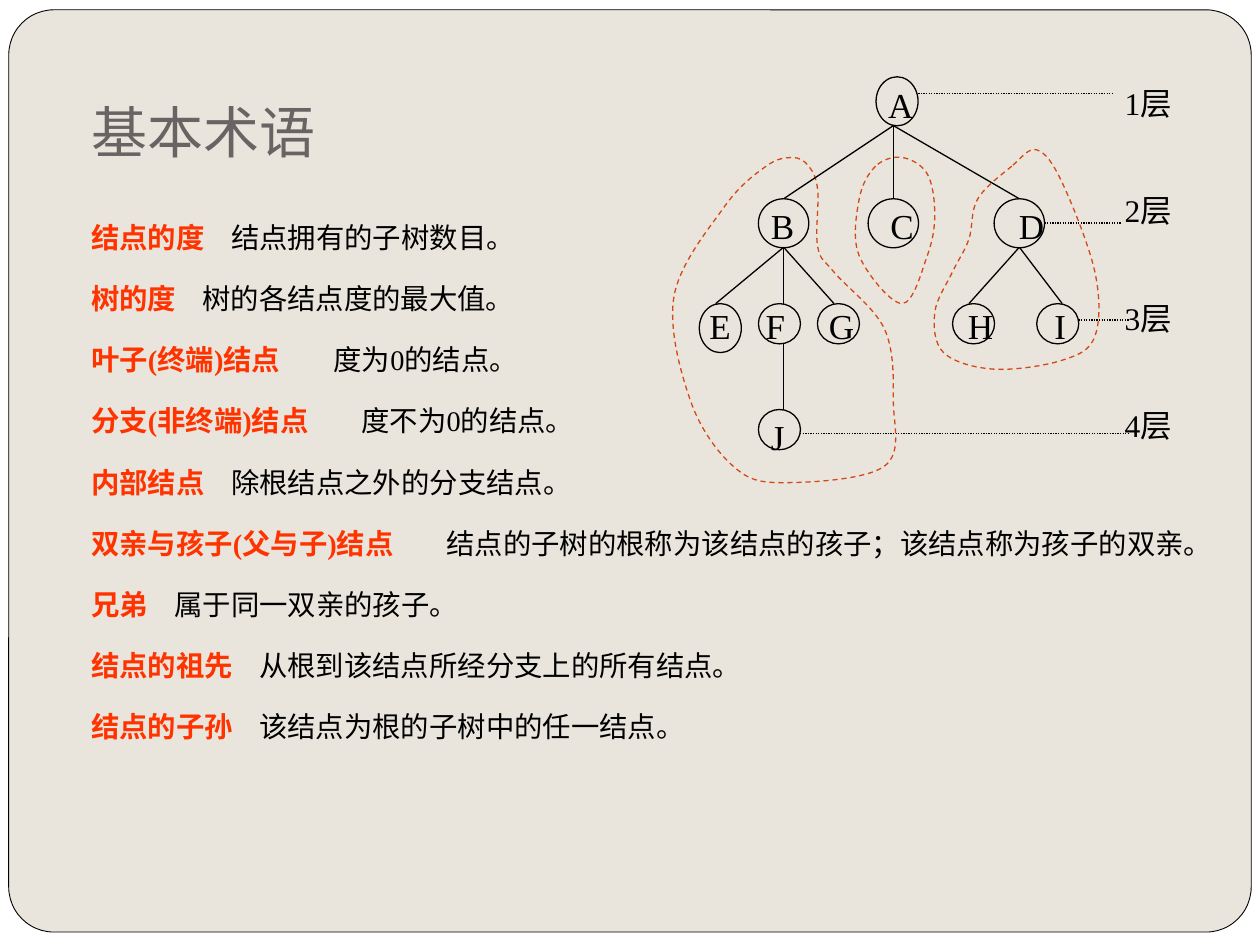
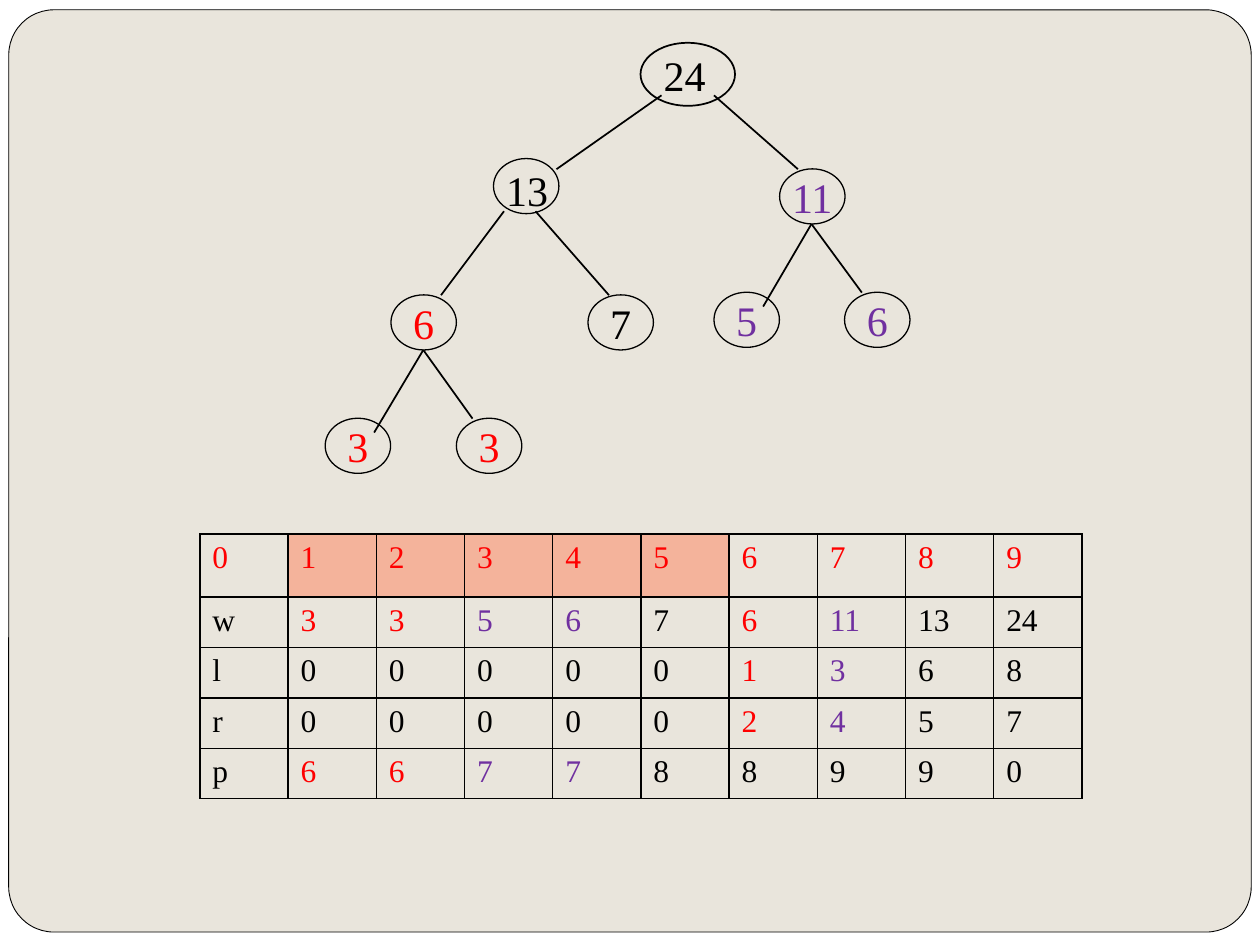
from dataclasses import dataclass
from lxml.etree import SubElement
from pptx import Presentation
from pptx.dml.color import RGBColor
from pptx.enum.dml import MSO_LINE
from pptx.enum.shapes import MSO_CONNECTOR, MSO_SHAPE
from pptx.enum.text import MSO_ANCHOR, PP_ALIGN
from pptx.oxml.ns import qn
from pptx.util import Pt


@dataclass(frozen=True)
class Theme:
    paper: RGBColor = RGBColor(0xE9, 0xE5, 0xDC)
    white: RGBColor = RGBColor(0xFF, 0xFF, 0xFF)
    black: RGBColor = RGBColor(0, 0, 0)
    title: RGBColor = RGBColor(0x69, 0x64, 0x64)
    term: RGBColor = RGBColor(0xFF, 0x33, 0x00)
    subtree: RGBColor = RGBColor(0xD3, 0x48, 0x17)
    red: RGBColor = RGBColor(0xFF, 0, 0)
    purple: RGBColor = RGBColor(0x70, 0x30, 0xA0)
    leaf_fill: RGBColor = RGBColor(0xF4, 0xB3, 0x9B)
    title_font: str = "Roboto"
    text_font: str = "Times New Roman"
    title_size: Pt = Pt(32)
    body_size: Pt = Pt(16.2)
    letter_size: Pt = Pt(20)
    level_size: Pt = Pt(18)
    weight_size: Pt = Pt(24)
    table_size: Pt = Pt(18)


theme = Theme()


def set_text_style(paragraph, size, color=theme.black, tabs=()):
    if tabs:
        tab_list = SubElement(paragraph._p.get_or_add_pPr(), qn("a:tabLst"))
        for tab in tabs:
            SubElement(tab_list, qn("a:tab"), pos=str(Pt(tab)), algn="l")
    paragraph.font.name = theme.text_font
    paragraph.font.size = size
    paragraph.font.color.rgb = color


def add_ellipse(slide, left, top, width, height, line_width=0.75):
    shape = slide.shapes.add_shape(MSO_SHAPE.OVAL, Pt(left), Pt(top), Pt(width), Pt(height))
    shape.shadow.inherit = False
    shape.fill.background()
    shape.line.color.rgb = theme.black
    shape.line.width = Pt(line_width)
    return shape


presentation = Presentation()
presentation.slide_width = Pt(720)
presentation.slide_height = Pt(540)

slides = []
for _ in range(2):
    slide = presentation.slides.add_slide(presentation.slide_layouts[6])
    slide.background.fill.solid()
    slide.background.fill.fore_color.rgb = theme.paper
    margin = slide.shapes.add_shape(MSO_SHAPE.RECTANGLE, 0, 0, Pt(720), Pt(540))
    frame = slide.shapes.add_shape(
        MSO_SHAPE.ROUNDED_RECTANGLE, Pt(5), Pt(5.6), Pt(710), Pt(527))
    frame.adjustments[0] = 0.049
    for shape, color in ((margin, theme.white), (frame, theme.paper)):
        shape.shadow.inherit = False
        shape.fill.solid()
        shape.fill.fore_color.rgb = color
    margin.line.fill.background()
    frame.line.color.rgb = theme.black
    frame.line.width = Pt(0.5)
    slides.append(slide)
terms_slide, huffman_slide = slides

title = terms_slide.shapes.add_textbox(Pt(45), Pt(11.5), Pt(612), Pt(90))
title.text_frame.word_wrap = True
title.text_frame.vertical_anchor = MSO_ANCHOR.BOTTOM
title.text_frame.margin_bottom = Pt(7.2)
paragraph = title.text_frame.paragraphs[0]
paragraph.text = "基本术语"
paragraph.font.name = theme.title_font
paragraph.font.size = theme.title_size
paragraph.font.color.rgb = theme.title

definitions = [
    ("结点的度", 80, "结点拥有的子树数目。"),
    ("树的度", 63.5, "树的各结点度的最大值。"),
    ("叶子(终端)结点", 138.5, "度为0的结点。"),
    ("分支(非终端)结点", 154.5, "度不为0的结点。"),
    ("内部结点", 80, "除根结点之外的分支结点。"),
    ("双亲与孩子(父与子)结点", 203, "结点的子树的根称为该结点的孩子；该结点称为孩子的双亲。"),
    ("兄弟", 47.5, "属于同一双亲的孩子。"),
    ("结点的祖先", 96, "从根到该结点所经分支上的所有结点。"),
    ("结点的子孙", 96, "该结点为根的子树中的任一结点。"),
]
body = terms_slide.shapes.add_textbox(Pt(45), Pt(112.4), Pt(644.4), Pt(352.8))
body.text_frame.word_wrap = True
for index, (term, tab, meaning) in enumerate(definitions):
    paragraph = body.text_frame.paragraphs[0] if index == 0 else body.text_frame.add_paragraph()
    set_text_style(paragraph, theme.body_size, tabs=[tab])
    paragraph.line_spacing = 1.5
    if index:
        paragraph.space_before = Pt(5.8)
    for text, color, bold in ((term + "\t", theme.term, True), (meaning, theme.black, False)):
        run = paragraph.add_run()
        run.text = text
        run.font.color.rgb = color
        run.font.bold = bold

for letters, left, top, width, tabs in [
    ("A", 500.4, 43.9, 33.8, []),
    ("BCD", 433.4, 113.5, 173.5, [68.3, 141.7]),
    ("EFGHI", 398.2, 170.4, 259.9, [32.2, 68.4, 147.8, 197.2]),
    ("J", 433.4, 234, 43.2, []),
]:
    letter_row = terms_slide.shapes.add_textbox(Pt(left), Pt(top), Pt(width), Pt(31.7))
    letter_row.text_frame.word_wrap = True
    paragraph = letter_row.text_frame.paragraphs[0]
    paragraph.text = "\t".join(letters)
    set_text_style(paragraph, theme.letter_size, tabs=tabs)

for left, top, width, height in [
    (500.6, 43.9, 24, 28), (433.4, 113.6, 28.8, 28), (568.1, 113.6, 28.8, 28),
    (496.1, 113.6, 28.8, 28), (399.6, 173.5, 24, 28), (433.4, 173.5, 24, 23),
    (467.1, 173.5, 24, 23), (544.3, 173.5, 24, 23), (592.4, 173.5, 24, 23),
    (433.4, 234, 24, 23),
]:
    add_ellipse(terms_slide, left, top, width, height)

levels = terms_slide.shapes.add_textbox(Pt(635.6), Pt(44.6), Pt(62.6), Pt(225.4))
levels.text_frame.word_wrap = True
for level in range(4):
    paragraph = levels.text_frame.add_paragraph() if level else levels.text_frame.paragraphs[0]
    paragraph.text = f"{level + 1}层"
    if level:
        paragraph.space_before = Pt(39.7)
    set_text_style(paragraph, theme.level_size)

subtree_knots = [
    [(437.8, 95), (414, 118.1), (385.2, 169.2), (394.6, 229), (419, 266.4), (447.8, 275.8),
     (505.4, 266.4), (510.5, 229), (505.4, 187.9), (476.6, 155.5), (467.3, 141.1),
     (467.3, 108.7), (462.2, 95), (452.9, 90)],
    [(500.4, 95), (491, 113.8), (491, 146.2), (515.5, 173.5), (529.9, 146.2),
     (534.2, 122.4), (529.9, 99.4), (515.5, 90)],
    [(578.2, 95), (558.7, 113.8), (553.7, 136.8), (544.3, 155.5), (534.2, 178.6),
     (539.3, 201.6), (568.1, 211), (607, 205.9), (625.7, 192.2), (625.7, 155.5),
     (607, 104.4), (592.6, 85.7)],
]
for knots in subtree_knots:
    corners = [(Pt(x), Pt(y)) for x, y in knots]
    builder = terms_slide.shapes.build_freeform(*corners[0])
    builder.add_line_segments(corners[1:] + corners[:1], close=True)
    outline = builder.convert_to_shape()
    outline.shadow.inherit = False
    outline.fill.background()
    outline.line.color.rgb = theme.subtree
    outline.line.width = Pt(0.75)
    outline.line.dash_style = MSO_LINE.DASH
    origin_x = min(x for x, y in corners)
    origin_y = min(y for x, y in corners)
    for index, segment in enumerate(list(outline.element.iter(qn("a:lnTo")))):
        before, start, end, after = [
            corners[(index + shift) % len(corners)] for shift in (-1, 0, 1, 2)]
        leaving = [s + (e - b) / 6 for b, s, e in zip(before, start, end)]
        arriving = [e - (a - s) / 6 for s, e, a in zip(start, end, after)]
        segment.tag = qn("a:cubicBezTo")
        segment.remove(segment[0])
        for x, y in (leaving, arriving, end):
            SubElement(segment, qn("a:pt"),
                       x=str(round(x - origin_x)), y=str(round(y - origin_y)))

columns = [[str(number) for number in range(10)],
           "w 3 3 5 6 7 6 11 13 24".split(),
           "l 0 0 0 0 0 1 3 6 8".split(),
           "r 0 0 0 0 0 2 4 5 7".split(),
           "p 6 6 7 7 8 8 9 9 0".split()]
cell_colors = ["RRRRRRRRRR", "KRRPPKRPKK", "KKKKKKRPKK", "KKKKKKRPKK", "KRRPPKKKKK"]
palette = {"R": theme.red, "P": theme.purple, "K": theme.black}
table = huffman_slide.shapes.add_table(
    5, 10, Pt(114.2), Pt(305.2), Pt(504), Pt(151.2)).table
table.first_row = False
table.horz_banding = False
for column in table.columns:
    column.width = Pt(50.4)
for row_index, row in enumerate(table.rows):
    row.height = Pt(28.8 if row_index else 36)
    for column_index, cell in enumerate(row.cells):
        properties = cell._tc.get_or_add_tcPr()
        for side in ("a:lnL", "a:lnR", "a:lnT", "a:lnB"):
            border = SubElement(properties, qn(side), w=str(Pt(1)))
            border_fill = SubElement(border, qn("a:solidFill"))
            SubElement(border_fill, qn("a:srgbClr"), val=str(theme.black))
        if row_index == 0 and 1 <= column_index <= 5:
            cell.fill.solid()
            cell.fill.fore_color.rgb = theme.leaf_fill
        else:
            cell.fill.background()
        paragraph = cell.text_frame.paragraphs[0]
        paragraph.text = columns[row_index][column_index]
        set_text_style(paragraph, theme.table_size,
                       palette[cell_colors[row_index][column_index]])

for weight, color, left, top in [
    ("3", theme.red, 260.8, 239), ("3", theme.red, 185.8, 239),
    ("5", theme.purple, 408, 167), ("6", theme.red, 223.4, 168.5),
    ("7", theme.black, 336, 168.5), ("6", theme.purple, 482.6, 167),
    ("11", theme.purple, 445.5, 96.5),
]:
    node = add_ellipse(huffman_slide, left, top, 37.4, 31.5)
    node.text_frame.word_wrap = False
    node.text_frame.vertical_anchor = MSO_ANCHOR.MIDDLE
    paragraph = node.text_frame.paragraphs[0]
    paragraph.text = weight
    paragraph.alignment = PP_ALIGN.CENTER
    set_text_style(paragraph, theme.weight_size, color)

add_ellipse(huffman_slide, 282, 90.6, 37.4, 31.5)
add_ellipse(huffman_slide, 366, 24.5, 54, 36, 1)
for weight, left, top in (("13", 282.2, 90.7), ("24", 372.2, 24.5)):
    label = huffman_slide.shapes.add_textbox(Pt(left), Pt(top), Pt(38.2), Pt(36))
    label.text_frame.word_wrap = False
    paragraph = label.text_frame.paragraphs[0]
    paragraph.text = weight
    set_text_style(paragraph, theme.weight_size)

branches = [
    (terms_slide, 0.75, (510.5, 71.8), [(447.8, 113.6), (510.5, 113.6), (582.5, 113.6)]),
    (terms_slide, 0.75, (447.8, 141.3), [(409, 173.5), (447.8, 173.5), (476.6, 173.5)]),
    (terms_slide, 0.75, (582.5, 141.3), [(553.7, 173.5), (607, 173.5)]),
    (terms_slide, 0.75, (447.8, 196.6), [(447.8, 234)]),
    (huffman_slide, 1, (241.9, 200), [(213.8, 247.2), (270, 239.2)]),
    (huffman_slide, 1, (463.7, 128), [(436.1, 175.2), (492.5, 167.2)]),
    (huffman_slide, 1, (288, 120.7), [(252, 168.7)]),
    (huffman_slide, 1, (306, 120.7), [(348, 168.7)]),
    (huffman_slide, 1, (378, 54.5), [(318, 96.7)]),
    (huffman_slide, 1, (408, 54.5), [(456, 96.7)]),
]
level_guides = [(524.7, 635.8, 53.3), (596.9, 640.8, 127.4),
                (616.2, 645.1, 182.9), (457.2, 645.1, 247.7)]
lines = [(slide, width, parent, child, None)
         for slide, width, parent, children in branches for child in children]
lines += [(terms_slide, 0.75, (left, height), (right, height), MSO_LINE.ROUND_DOT)
          for left, right, height in level_guides]
for slide, width, start, end, dash in lines:
    connector = slide.shapes.add_connector(
        MSO_CONNECTOR.STRAIGHT, *[Pt(value) for value in (*start, *end)])
    connector.line.color.rgb = theme.black
    connector.line.width = Pt(width)
    connector.line.dash_style = dash
    SubElement(connector.element.spPr, qn("a:effectLst"))

presentation.save("out.pptx")
